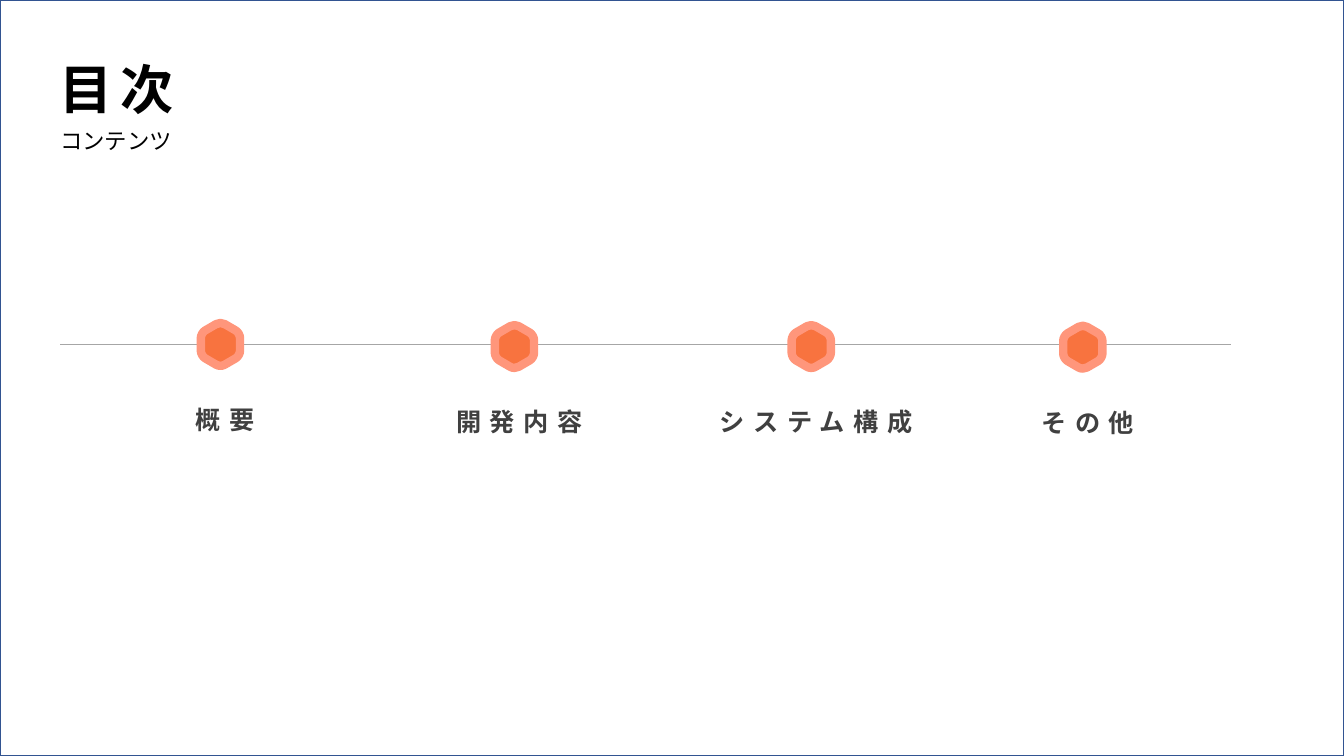
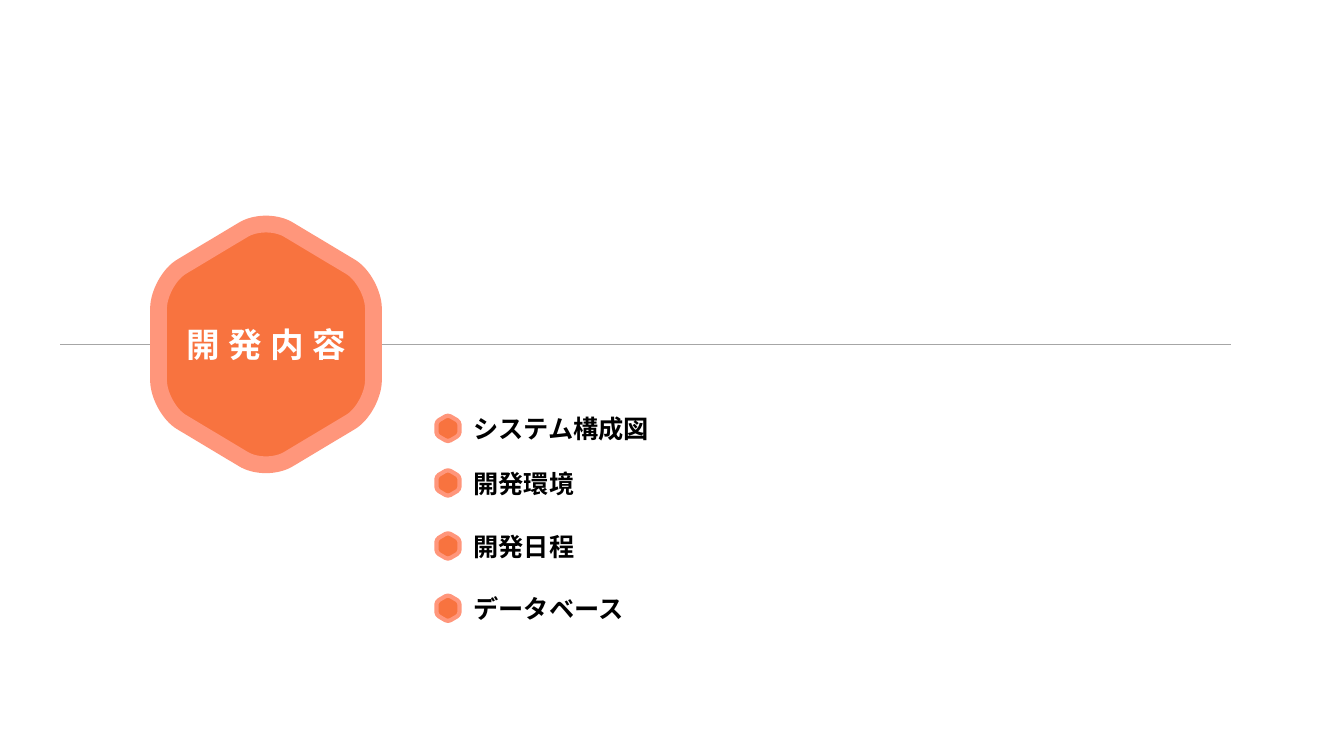
from dataclasses import dataclass
from itertools import accumulate

from pptx import Presentation
from pptx.dml.color import RGBColor
from pptx.enum.shapes import MSO_CONNECTOR, MSO_SHAPE
from pptx.enum.text import MSO_ANCHOR, MSO_AUTO_SIZE, PP_ALIGN
from pptx.oxml.ns import qn
from pptx.util import Emu, Pt
from lxml.etree import SubElement

EMU_PER_PX = 6350
SLIDE_WIDTH, SLIDE_HEIGHT = 1920, 1080
TITLE_ONLY, TITLE_AND_CONTENT = 5, 1
AXIS_LEFT, AXIS_RIGHT, AXIS_Y = 86, 1758, 492


@dataclass(frozen=True)
class TextStyle:
    size: int
    color: str
    font: str = "Arial"
    bold: bool = True
    tracking: int = 0
    align: PP_ALIGN = PP_ALIGN.CENTER


@dataclass(frozen=True)
class Theme:
    white: str = "FFFFFF"
    frame: str = "325491"
    axis: str = "A6A6A6"
    hexagon: str = "F8733F"
    rim: str = "FF967B"
    title: TextStyle = TextStyle(38, "000000", tracking=6)
    subtitle: TextStyle = TextStyle(16, "000000", "Calibri", bold=False)
    label: TextStyle = TextStyle(18, "404040", tracking=6)
    section: TextStyle = TextStyle(24, "FFFFFF", tracking=6)
    item: TextStyle = TextStyle(18, "000000", "Calibri", align=PP_ALIGN.LEFT)


THEME = Theme()


def px(value):
    return Emu(round(value * EMU_PER_PX))


def paint(shape, fill, line, line_width):
    shape.shadow.inherit = False
    shape.fill.solid()
    shape.fill.fore_color.rgb = RGBColor.from_string(fill)
    shape.line.color.rgb = RGBColor.from_string(line)
    shape.line.width = Pt(line_width)


def add_run(paragraph, text, style):
    paragraph.alignment = style.align
    run = paragraph.add_run()
    run.text = text
    run.font.name = style.font
    run.font.size = Pt(style.size)
    run.font.bold = style.bold
    run.font.color.rgb = RGBColor.from_string(style.color)
    if style.tracking:
        run._r.get_or_add_rPr().set("spc", str(style.tracking * 100))


def prepare_frame(shape):
    frame = shape.text_frame
    frame.word_wrap = True
    frame.auto_size = MSO_AUTO_SIZE.NONE
    frame.vertical_anchor = MSO_ANCHOR.TOP
    return frame


def place(shape, left, top, width, height):
    shape.left, shape.top = px(left), px(top)
    shape.width, shape.height = px(width), px(height)


def add_text(slide, text, style, left, top, width, height):
    box = slide.shapes.add_textbox(px(left), px(top), px(width), px(height))
    add_run(prepare_frame(box).paragraphs[0], text, style)


def set_title(slide, text, style, *bounds):
    """Fill the title placeholder and bring it in front of the shapes drawn so far."""
    title = slide.shapes.title
    place(title, *bounds)
    add_run(prepare_frame(title).paragraphs[0], text, style)
    slide.shapes.element.append(title.element)


def add_axis(slide):
    axis = slide.shapes.add_connector(
        MSO_CONNECTOR.STRAIGHT, px(AXIS_LEFT), px(AXIS_Y), px(AXIS_RIGHT), px(AXIS_Y))
    axis.line.color.rgb = RGBColor.from_string(THEME.axis)
    axis.line.width = Pt(0.5)
    SubElement(axis.element.spPr, qn("a:effectLst"))


def rounded_hexagon_points():
    """Return four Bézier points per corner, around (0, 0), reaching 1 unit to each side."""
    top = [(-0.22, -0.95), (-0.1, -1.02), (0.1, -1.02), (0.22, -0.95)]
    upper_right = [(0.78, -0.65), (0.9, -0.59), (1, -0.42), (1, -0.3)]
    lower_right = [(x, -y) for x, y in reversed(upper_right)]
    half = top + upper_right + lower_right
    return half + [(-x, -y) for x, y in half]


def round_corners(shape):
    """Turn each corner's three segments into one cubic curve; keep the sides straight."""
    segments = list(shape.element.iter(qn("a:lnTo")))
    for first in range(0, len(segments), 4):
        corner = segments[first:first + 3]
        curve = SubElement(corner[0].getparent(), qn("a:cubicBezTo"))
        corner[0].addprevious(curve)
        for segment in corner:
            curve.append(segment[0])
            segment.getparent().remove(segment)


def add_hexagon(slide, center_x, center_y, width, height, rim_width):
    points = [(px(center_x + x * width / 2), px(center_y + y * height / 2))
              for x, y in rounded_hexagon_points()]
    builder = slide.shapes.build_freeform(*points[0])
    builder.add_line_segments(points[1:], close=True)
    hexagon = builder.convert_to_shape()
    round_corners(hexagon)
    paint(hexagon, THEME.hexagon, THEME.rim, rim_width)


def fill_list(body, items, gaps, line_height):
    frame = prepare_frame(body)
    for index, (text, gap) in enumerate(zip(items, gaps)):
        paragraph = frame.add_paragraph() if index else frame.paragraphs[0]
        properties = paragraph._p.get_or_add_pPr()
        properties.set("marL", "0")
        properties.set("indent", "0")
        SubElement(properties, qn("a:buNone"))
        paragraph.line_spacing = px(line_height)
        paragraph.space_before = px(gap)
        add_run(paragraph, text, THEME.item)


def build_contents(presentation):
    slide = presentation.slides.add_slide(presentation.slide_layouts[TITLE_ONLY])
    frame = slide.shapes.add_shape(
        MSO_SHAPE.RECTANGLE, 0, 0, px(SLIDE_WIDTH), px(SLIDE_HEIGHT))
    paint(frame, THEME.white, THEME.frame, 1)
    set_title(slide, "目次", THEME.title, 50, 73, 233, 107)
    add_text(slide, "コンテンツ", THEME.subtitle, 68, 174, 196, 53)
    add_axis(slide)
    label_width = 348
    for text, x, y in (("概要", 315, 492), ("開発内容", 735, 495),
                       ("システム構成", 1159, 495), ("その他", 1547, 496)):
        add_hexagon(slide, x, y, 56, 61, 6)
        add_text(slide, text, THEME.label,
                 x + 7 - label_width / 2, y + 79, label_width, 58)


def build_section(presentation):
    slide = presentation.slides.add_slide(presentation.slide_layouts[TITLE_AND_CONTENT])
    add_axis(slide)
    add_hexagon(slide, 380, AXIS_Y, 307, 343, 12)
    set_title(slide, "開発内容", THEME.section, 206, 455, 348, 72)

    items = ("システム構成図", "開発環境", "開発日程", "データベース")
    line_height = 44
    gaps = (0, 34, 46, 45)
    body = slide.placeholders[1]
    place(body, 662, 583, 595, 316)
    fill_list(body, items, gaps, line_height)
    for y in accumulate((line_height + gap for gap in gaps[1:]), initial=612):
        add_hexagon(slide, 640, y, 33, 36, 3)


def main():
    presentation = Presentation()
    presentation.slide_width = px(SLIDE_WIDTH)
    presentation.slide_height = px(SLIDE_HEIGHT)
    build_contents(presentation)
    build_section(presentation)
    presentation.save("out.pptx")


if __name__ == "__main__":
    main()
